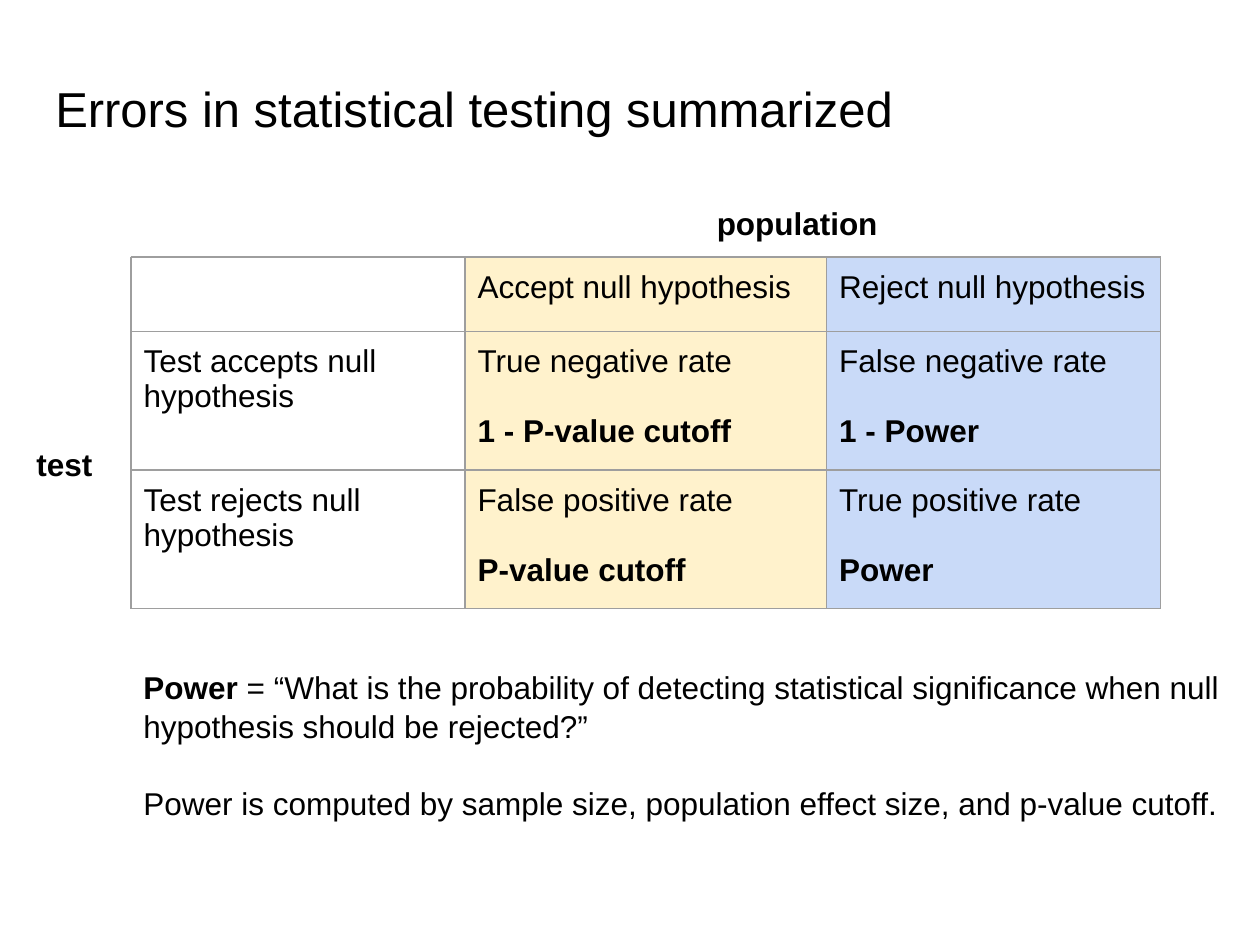
"""Build the slide that summarizes errors in statistical testing."""
from dataclasses import dataclass

from lxml import etree
from pptx import Presentation
from pptx.dml.color import RGBColor
from pptx.enum.text import MSO_ANCHOR
from pptx.oxml.ns import qn
from pptx.slide import Slide
from pptx.table import _Cell
from pptx.util import Inches, Pt

TOP = MSO_ANCHOR.TOP
FONT = "Arial"
BODY_SIZE = 18
INSET = Inches(0.1)
COLORS = {"text": "000000", "border": "9E9E9E", "accept": "FFF2CC", "reject": "C9DAF8"}
COLUMN_FILLS = (None, "accept", "reject")
COLUMN_WIDTHS = (2.65, 2.87, 2.65)
ROW_HEIGHTS = (0.59, 1.1, 1.1)
BORDER_WIDTH = Pt(0.75)


@dataclass(frozen=True)
class Line:
    """A paragraph with a bold lead, a regular rest and a gap above."""

    bold: str = ""
    regular: str = ""
    gap: float = 0


@dataclass(frozen=True)
class Label:
    """A text box with its place in inches."""

    left: float
    top: float
    width: float
    height: float
    lines: tuple[Line, ...]
    size: int = BODY_SIZE
    spacing: float = 1.04


LABELS = (
    Label(0.34, 0.48, 9.32, 0.83,
          (Line(regular="Errors in statistical testing summarized"),), 28, 1.1),
    Label(1.04, 5.19, 8.91, 1.54, (
        Line("Power", " = “What is the probability of detecting statistical significance "
                      "when null hypothesis should be rejected?”"),
        Line(regular="Power is computed by sample size, population effect size, "
                     "and p-value cutoff.", gap=21.5),
    )),
    Label(5.59, 1.51, 1.88, 0.5, (Line("population"),)),
    Label(0.19, 3.42, 1.88, 0.5, (Line("test"),)),
)


def outcome(rate: str, formula: str) -> tuple[Line, ...]:
    """Return the lines of a cell with a rate and its formula."""
    return Line(regular=rate), Line(formula, gap=20)


TABLE_ROWS = (
    ((), (Line(regular="Accept null hypothesis"),), (Line(regular="Reject null hypothesis"),)),
    ((Line(regular="Test accepts null hypothesis"),),
     outcome("True negative rate", "1 - P-value cutoff"),
     outcome("False negative rate", "1 - Power")),
    ((Line(regular="Test rejects null hypothesis"),),
     outcome("False positive rate", "P-value cutoff"),
     outcome("True positive rate", "Power")),
)


def write_lines(text_frame, lines: tuple[Line, ...], size: int, spacing: float) -> None:
    """Write the lines as paragraphs of a text frame."""
    for index, line in enumerate(lines):
        paragraph = text_frame.add_paragraph() if index else text_frame.paragraphs[0]
        paragraph.line_spacing = spacing
        paragraph.space_before = Pt(line.gap)
        paragraph.font.name = FONT
        paragraph.font.size = Pt(size)
        paragraph.font.color.rgb = RGBColor.from_string(COLORS["text"])
        for text, bold in ((line.bold, True), (line.regular, False)):
            if text:
                run = paragraph.add_run()
                run.text = text
                run.font.bold = bold


def set_insets(frame) -> None:
    """Give a text frame or a cell equal insets."""
    frame.margin_left = frame.margin_right = INSET
    frame.margin_top = frame.margin_bottom = INSET
    frame.vertical_anchor = TOP


def add_label(slide: Slide, label: Label) -> None:
    """Add a label as a text box."""
    shape = slide.shapes.add_textbox(Inches(label.left), Inches(label.top),
                                     Inches(label.width), Inches(label.height))
    shape.text_frame.word_wrap = True
    set_insets(shape.text_frame)
    write_lines(shape.text_frame, label.lines, label.size, label.spacing)


def add_borders(cell: _Cell) -> None:
    """Draw the four borders of a cell."""
    properties = cell._tc.get_or_add_tcPr()
    for position, side in enumerate(("a:lnL", "a:lnR", "a:lnT", "a:lnB")):
        border = etree.Element(qn(side), w=str(int(BORDER_WIDTH)))
        fill = etree.SubElement(border, qn("a:solidFill"))
        etree.SubElement(fill, qn("a:srgbClr"), val=COLORS["border"])
        properties.insert(position, border)


def add_error_table(slide: Slide) -> None:
    """Add the table of test results against the population."""
    table = slide.shapes.add_table(
        len(ROW_HEIGHTS), len(COLUMN_WIDTHS), Inches(1.04), Inches(2.04),
        Inches(sum(COLUMN_WIDTHS)), Inches(sum(ROW_HEIGHTS))).table
    table.first_row = table.horz_banding = False
    for column, width in zip(table.columns, COLUMN_WIDTHS):
        column.width = Inches(width)
    for row, height, contents in zip(table.rows, ROW_HEIGHTS, TABLE_ROWS):
        row.height = Inches(height)
        for cell, lines, color in zip(row.cells, contents, COLUMN_FILLS):
            set_insets(cell)
            write_lines(cell.text_frame, lines, BODY_SIZE, 1.0)
            if color:
                cell.fill.solid()
                cell.fill.fore_color.rgb = RGBColor.from_string(COLORS[color])
            else:
                cell.fill.background()
            add_borders(cell)


def main() -> None:
    """Create and save the presentation."""
    presentation = Presentation()
    presentation.slide_width = Inches(10)
    presentation.slide_height = Inches(7.5)
    slide = presentation.slides.add_slide(presentation.slide_layouts[6])
    for label in LABELS:
        add_label(slide, label)
    add_error_table(slide)
    presentation.save("out.pptx")


if __name__ == "__main__":
    main()
